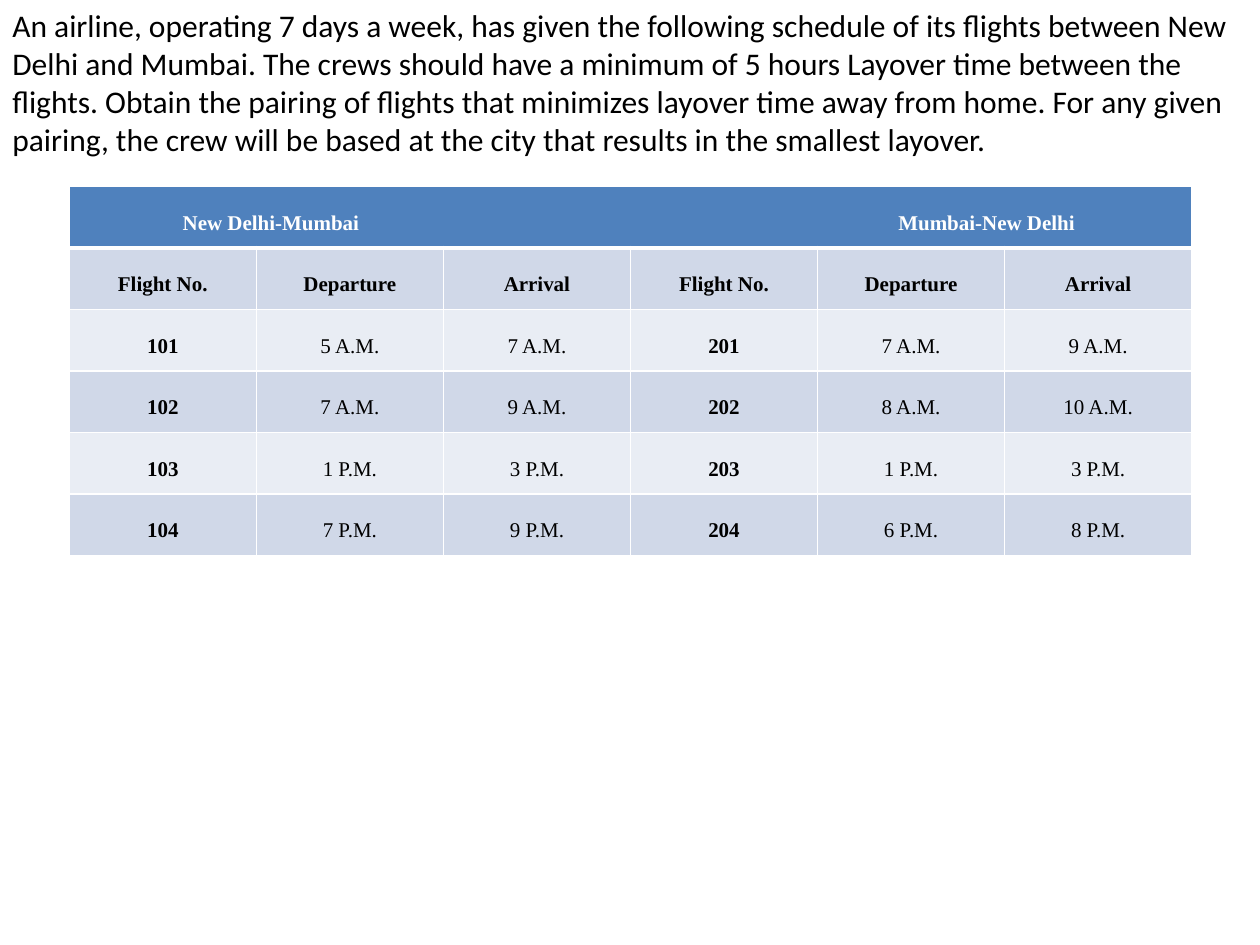
from dataclasses import dataclass

from lxml.etree import SubElement
from pptx import Presentation
from pptx.dml.color import RGBColor
from pptx.enum.text import MSO_ANCHOR, MSO_AUTO_SIZE, PP_ALIGN
from pptx.oxml.ns import qn
from pptx.util import Inches, Pt

PROBLEM = (
    "An airline, operating 7 days a week, has given the following schedule of its "
    "flights between New Delhi and Mumbai. The crews should have a minimum of 5 hours "
    "Layover time between the flights. Obtain the pairing of flights that minimizes "
    "layover time away from home. For any given pairing, the crew will be based at the "
    "city that results in the smallest layover."
)
ROUTES = ["New Delhi-Mumbai", "Mumbai-New Delhi"]
COLUMNS = ["Flight No.", "Departure", "Arrival"] * len(ROUTES)
FLIGHTS = [
    ("101", "5 A.M.", "7 A.M.", "201", "7 A.M.", "9 A.M."),
    ("102", "7 A.M.", "9 A.M.", "202", "8 A.M.", "10 A.M."),
    ("103", "1 P.M.", "3 P.M.", "203", "1 P.M.", "3 P.M."),
    ("104", "7 P.M.", "9 P.M.", "204", "6 P.M.", "8 P.M."),
]
ROUTE_TABS = [0.83, 6.51]


@dataclass(frozen=True)
class Theme:
    body_font: str = "Calibri"
    table_font: str = "Times New Roman"
    body_size: int = 18
    table_size: int = 12
    black: str = "000000"
    white: str = "FFFFFF"
    header: str = "4F81BD"
    bands: tuple = ("E9EDF4", "D0D8E8")


THEME = Theme()


def write(frame, text, font=THEME.table_font, size=THEME.table_size, color=THEME.black,
          bold=False, align=PP_ALIGN.CENTER, spacing=1.5, tabs=()):
    paragraph = frame.paragraphs[0]
    paragraph.alignment = align
    paragraph.line_spacing = spacing
    if tabs:
        tab_list = SubElement(paragraph._p.get_or_add_pPr(), qn("a:tabLst"))
        for position in tabs:
            SubElement(tab_list, qn("a:tab"), pos=str(Inches(position)), algn="l")
    run = paragraph.add_run()
    run.text = text
    run.font.name = font
    run.font.size = Pt(size)
    run.font.bold = bold
    run.font.color.rgb = RGBColor.from_string(color)


def style_cell(cell, fill, top=1, bottom=1):
    properties = cell._tc.get_or_add_tcPr()
    for side, width in (("L", 1), ("R", 1), ("T", top), ("B", bottom)):
        line = SubElement(properties, qn(f"a:ln{side}"), w=str(Pt(width)))
        SubElement(SubElement(line, qn("a:solidFill")), qn("a:srgbClr"), val=THEME.white)
    cell.fill.solid()
    cell.fill.fore_color.rgb = RGBColor.from_string(fill)
    cell.vertical_anchor = MSO_ANCHOR.MIDDLE
    cell.margin_left = cell.margin_right = Inches(0.07)
    cell.margin_top = cell.margin_bottom = 0


def add_problem(slide):
    shape = slide.shapes.add_textbox(0, 0, Inches(10), Inches(1.31))
    shape.text_frame.word_wrap = True
    shape.text_frame.auto_size = MSO_AUTO_SIZE.SHAPE_TO_FIT_TEXT
    write(shape.text_frame, PROBLEM, font=THEME.body_font, size=THEME.body_size,
          align=PP_ALIGN.LEFT, spacing=1.0)


def add_schedule(slide):
    rows = [COLUMNS, *FLIGHTS]
    table = slide.shapes.add_table(
        len(rows) + 1, len(COLUMNS), Inches(0.55), Inches(1.48), Inches(8.91), Inches(2.93)
    ).table
    for cell in table.rows[0].cells:
        style_cell(cell, THEME.header, bottom=3)
    header = table.cell(0, 0)
    header.merge(table.cell(0, len(COLUMNS) - 1))
    write(header.text_frame, "".join(f"\t{route}" for route in ROUTES),
          color=THEME.white, bold=True, align=PP_ALIGN.LEFT, tabs=ROUTE_TABS)
    for row_number, row in enumerate(rows, start=1):
        for column, text in enumerate(row):
            cell = table.cell(row_number, column)
            style_cell(cell, THEME.bands[row_number % 2], top=3 if row_number == 1 else 1)
            write(cell.text_frame, text,
                  bold=row_number == 1 or COLUMNS[column] == "Flight No.")


def main():
    presentation = Presentation()
    presentation.slide_width = Inches(10)
    presentation.slide_height = Inches(7.5)
    slide = presentation.slides.add_slide(presentation.slide_layouts[6])
    add_problem(slide)
    add_schedule(slide)
    presentation.save("out.pptx")


if __name__ == "__main__":
    main()
